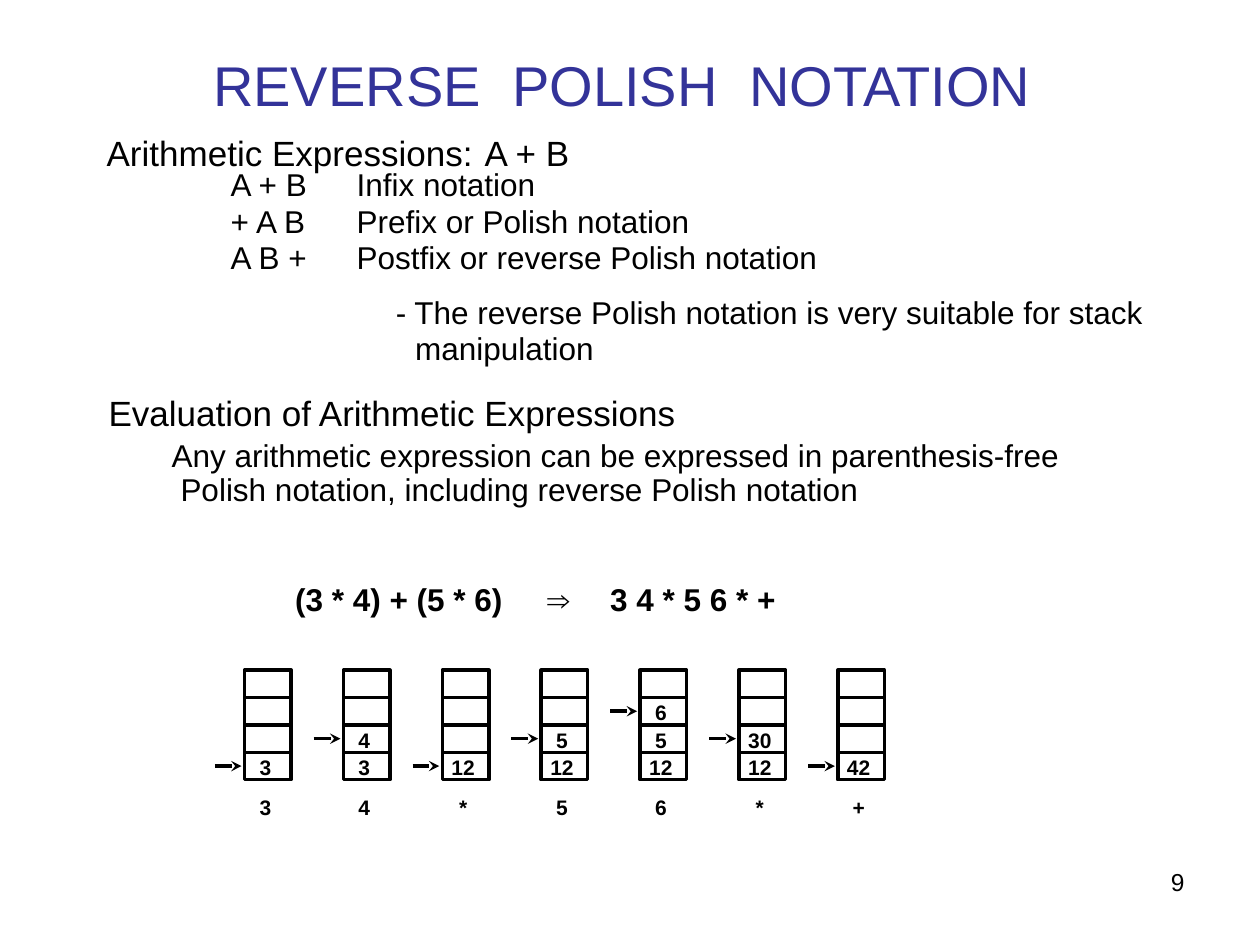
from lxml import etree
from pptx import Presentation
from pptx.dml.color import RGBColor
from pptx.enum.shapes import MSO_CONNECTOR, MSO_SHAPE
from pptx.enum.text import MSO_ANCHOR, MSO_AUTO_SIZE, PP_ALIGN
from pptx.oxml.ns import qn
from pptx.util import Cm, Pt

LEFT, MID, RIGHT = PP_ALIGN.LEFT, PP_ALIGN.CENTER, PP_ALIGN.RIGHT
TOP, CENTER = MSO_ANCHOR.TOP, MSO_ANCHOR.MIDDLE
FIXED = MSO_AUTO_SIZE.NONE
RECT, LINE = MSO_SHAPE.RECTANGLE, MSO_CONNECTOR.STRAIGHT
FONT = "Arial"
HEX = {"ink": "000000", "title": "333399"}
STACKS = [
    ("3", ["3"]),
    ("4", ["3", "4"]),
    ("*", ["12"]),
    ("5", ["12", "5"]),
    ("6", ["12", "5", "6"]),
    ("*", ["12", "30"]),
    ("+", ["42"]),
]
ROWS = 4


def color(name):
    """Return the palette color of that name."""
    return RGBColor.from_string(HEX[name])


def place(shape, box):
    """Move a shape to a box of left, top, width and height in cm."""
    shape.left, shape.top, shape.width, shape.height = map(Cm, box)
    return shape


def write(shape, text, size=18, bold=False, ink="ink", align=LEFT, anchor=TOP,
          space=0.9, pad=(0.18, 0.08), tabs=(), hang=0, gap=0):
    """Fill a shape with one paragraph per line of text; gap widens spaces, in points."""
    frame = shape.text_frame
    frame.word_wrap, frame.auto_size = True, FIXED
    frame.vertical_anchor = anchor
    frame.margin_left = frame.margin_right = Cm(pad[0])
    frame.margin_top = frame.margin_bottom = Cm(pad[1])
    for row, line in enumerate(text.split("\n")):
        para = frame.add_paragraph() if row else frame.paragraphs[0]
        para.alignment, para.line_spacing = align, space
        para.space_before = para.space_after = Pt(0)
        props = para._p.get_or_add_pPr()
        props.set("marL", str(Cm(hang)))
        props.set("indent", str(-Cm(hang)))
        etree.SubElement(props, qn("a:buNone"))
        if tabs:
            stops = etree.SubElement(props, qn("a:tabLst"))
            for stop in tabs:
                etree.SubElement(stops, qn("a:tab"), pos=str(Cm(stop)), algn="l")
        parts = line.replace(" ", "\n \n").split("\n") if gap else [line]
        for part in parts:
            run = para.add_run()
            run.text = part
            font = run.font
            font.name, font.size, font.bold = FONT, Pt(size), bold
            font.color.rgb = color(ink)
            if part == " ":
                font._element.set("spc", str(round(gap * 100)))


def label(slide, box, text, **style):
    """Add a text box."""
    write(place(slide.shapes.add_textbox(0, 0, 0, 0), box), text, **style)


def rule(slide, start, end, arrow=False):
    """Draw a line between two points, with an arrowhead on request."""
    line = slide.shapes.add_connector(LINE, *map(Cm, start + end))
    line.line.width = Pt(2)
    line.line.color.rgb = color("ink")
    if arrow:
        etree.SubElement(line.line._get_or_add_ln(), qn("a:tailEnd"), type="stealth")
    etree.SubElement(line._element.spPr, qn("a:effectLst"))


def stack(slide, box, token, items):
    """Draw one stack with its items, its top pointer and the token read."""
    left, top, width, height = box
    cell = height / ROWS
    frame = place(slide.shapes.add_shape(RECT, 0, 0, 0, 0), box)
    frame.shadow.inherit = False
    frame.fill.background()
    frame.line.width = Pt(2)
    frame.line.color.rgb = color("ink")
    for row in range(1, ROWS):
        y = top + row * cell
        rule(slide, (left, y), (left + width, y))
    style = dict(size=12, bold=True, align=MID, pad=(0, 0.13))
    x = left - 0.05
    for level, item in enumerate(items, 1):
        y = top + height - level * cell
        label(slide, (x, y - 0.03, width, 0.71), item, **style)
    y += cell / 2
    rule(slide, (left - 0.6, y), (left - 0.06, y), arrow=True)
    label(slide, (x, top + height + 0.22, width, 0.71), token, **style)


def trace(slide, box):
    """Lay out the stacks at an equal pitch across a box."""
    left, top, width, height = box
    wide = 0.94
    pitch = (width - wide) / (len(STACKS) - 1)
    for col, (token, items) in enumerate(STACKS):
        stack(slide, (left + col * pitch, top, wide, height), token, items)


def forms(slide, box):
    """Write the notation forms and the remark below them."""
    left, top, width, height = box
    label(slide, (left, top, 12, 1.02), "Arithmetic Expressions:\tA + B",
          size=20, pad=(0.25, 0.13), tabs=[7.72])
    body = place(slide.placeholders[1], (left + 2.57, top + 0.68, 19.25, 2.34))
    write(body, "A + B\tInfix notation\n+ A B\tPrefix or Polish notation\n"
          "A B +\tPostfix or reverse Polish notation", space=0.96, tabs=[3.54])
    label(slide, (left + 5.9, top + 3.27, width - 5.9, 1.7),
          "- The reverse Polish notation is very suitable for stack manipulation",
          space=0.94, hang=0.39)


def rules(slide, box):
    """Write the evaluation heading, its statement and the example."""
    left, top, width, height = box
    label(slide, (left, top, width, 0.86), "Evaluation of Arithmetic Expressions",
          size=20, space=0.85)
    label(slide, (left + 1.27, top + 0.84, width - 1.27, 1.52),
          "Any arithmetic expression can be expressed in parenthesis-free "
          "Polish notation, including reverse Polish notation", hang=0.18)
    label(slide, (left + 3.76, top + 3.71, 11, 0.86),
          "(3 * 4) + (5 * 6)\t⇒\t3 4 * 5 6 * +", bold=True, space=0.96,
          tabs=[4.8, 6.35])


def main():
    """Build and save the slide."""
    deck = Presentation()
    deck.slide_width, deck.slide_height = Cm(25.4), Cm(19.05)
    slide = deck.slides.add_slide(deck.slide_layouts[1])
    title = place(slide.shapes.title, (2.97, 0.64, 19.13, 2.13))
    write(title, "REVERSE POLISH NOTATION", size=32, ink="title", align=MID,
          anchor=CENTER, space=1, gap=8.9)
    forms(slide, (1.9, 2.62, 22.6, 5))
    rules(slide, (2.01, 7.95, 20.2, 4.6))
    trace(slide, (4.93, 13.51, 12.9, 2.21))
    label(slide, (18.21, 17.35, 5.92, 1.32), "9", size=14, align=RIGHT,
          space=1, pad=(0.25, 0.13))
    deck.save("out.pptx")


if __name__ == "__main__":
    main()
